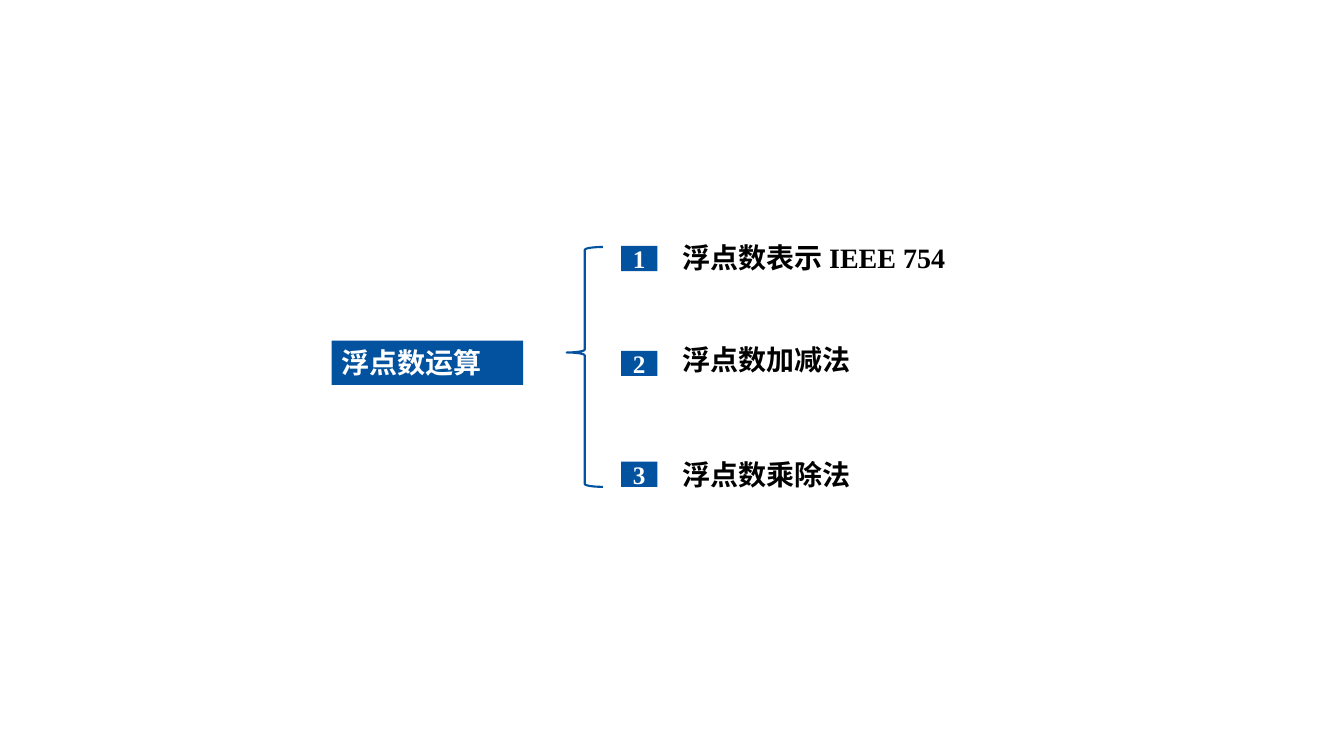
"""Build a slide that splits floating-point arithmetic into three numbered topics."""
from dataclasses import dataclass

from pptx import Presentation
from pptx.dml.color import RGBColor
from pptx.enum.shapes import MSO_SHAPE
from pptx.enum.text import MSO_ANCHOR, PP_ALIGN
from pptx.shapes.autoshape import Shape
from pptx.slide import Slide
from pptx.util import Emu, Pt

EMU_PER_PX = 9144
BLUE = RGBColor(0x02, 0x52, 0x9F)
WHITE = RGBColor(0xFF, 0xFF, 0xFF)
BLACK = RGBColor(0x00, 0x00, 0x00)
FONT_NAME = "Times New Roman"
LABEL_HEIGHT = 44


@dataclass(frozen=True)
class Topic:
    label: str
    number_top: int
    label_top: int
    label_width: int


TOPICS = (
    Topic("浮点数表示 IEEE 754", 244, 234, 419),
    Topic("浮点数加减法", 348, 335, 503),
    Topic("浮点数乘除法", 458, 449, 503),
)


def px(length: int) -> Emu:
    return Emu(length * EMU_PER_PX)


def write(shape: Shape, text: str, size: int, color: RGBColor,
          align: PP_ALIGN, anchor: MSO_ANCHOR) -> None:
    frame = shape.text_frame
    frame.text = text
    frame.word_wrap = True
    frame.vertical_anchor = anchor
    paragraph = frame.paragraphs[0]
    paragraph.alignment = align
    font = paragraph.runs[0].font
    font.name = FONT_NAME
    font.size = Pt(size)
    font.bold = True
    font.color.rgb = color


def add_block(slide: Slide, left: int, top: int, width: int, height: int) -> Shape:
    block = slide.shapes.add_shape(
        MSO_SHAPE.RECTANGLE, px(left), px(top), px(width), px(height))
    block.shadow.inherit = False
    block.fill.solid()
    block.fill.fore_color.rgb = BLUE
    block.line.fill.background()
    return block


def add_brace(slide: Slide) -> None:
    brace = slide.shapes.add_shape(
        MSO_SHAPE.LEFT_BRACE, px(562), px(245), px(36), px(238))
    brace.adjustments[0] = 0.08
    brace.adjustments[1] = 0.44
    brace.shadow.inherit = False
    brace.fill.background()
    brace.line.color.rgb = BLUE
    brace.line.width = Pt(1.5)


def add_topic(slide: Slide, number: int, topic: Topic) -> None:
    badge = add_block(slide, 616, topic.number_top, 36, 25)
    write(badge, str(number), 18, WHITE, PP_ALIGN.CENTER, MSO_ANCHOR.MIDDLE)
    label = slide.shapes.add_textbox(
        px(667), px(topic.label_top), px(topic.label_width), px(LABEL_HEIGHT))
    write(label, topic.label, 20, BLACK, PP_ALIGN.LEFT, MSO_ANCHOR.TOP)


def main() -> None:
    presentation = Presentation()
    presentation.slide_width = px(1333)
    presentation.slide_height = px(750)
    slide = presentation.slides.add_slide(presentation.slide_layouts[6])

    subject = add_block(slide, 329, 338, 190, LABEL_HEIGHT)
    write(subject, "浮点数运算", 20, WHITE, PP_ALIGN.LEFT, MSO_ANCHOR.TOP)
    add_brace(slide)
    for number, topic in enumerate(TOPICS, start=1):
        add_topic(slide, number, topic)

    presentation.save("out.pptx")


if __name__ == "__main__":
    main()
